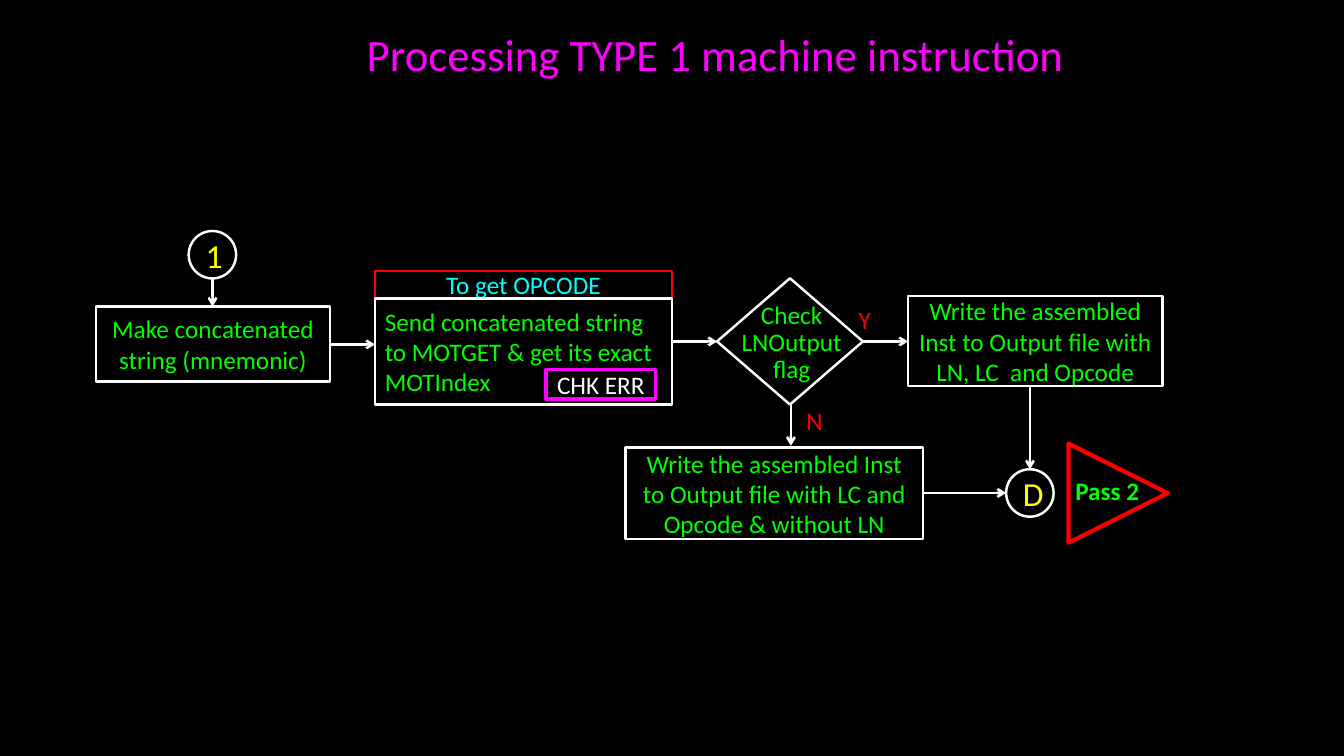
"""Build the flowchart slide on processing a TYPE 1 machine instruction."""
from dataclasses import dataclass

from lxml import etree
from pptx import Presentation
from pptx import util as u
from pptx.dml import color
from pptx.enum import shapes, text
from pptx.oxml import ns
from pptx.slide import Slide

HUES = {
    "black": "000000", "white": "FFFFFF", "green": "00FF00", "red": "FF0000",
    "cyan": "00FFFF", "yellow": "FFFF00", "pink": "FF00FF",
}
KIND = shapes.MSO_SHAPE
ALIGN = text.PP_ALIGN
FONT = "Calibri"
STROKE = 1.75
RING = 33.9


@dataclass(frozen=True)
class Node:
    left: float
    top: float
    width: float
    height: float
    words: str = ""
    hue: str = "green"
    size: int = 18
    align: ALIGN = ALIGN.CENTER
    kind: KIND = KIND.RECTANGLE
    edge: str = "white"
    stroke: float = STROKE
    fill: str = ""
    turn: int = 0


@dataclass(frozen=True)
class Label:
    left: float
    top: float
    width: float
    height: float
    lines: tuple[str, ...]
    hue: str
    size: int = 18
    align: ALIGN = ALIGN.LEFT
    bold: bool = False
    tight: bool = False
    pitch: float = 0


@dataclass(frozen=True)
class Arrow:
    left: float
    top: float
    right: float
    low: float


NODES = [
    Node(134.8, 165, RING, RING, "1", "yellow", 24, kind=KIND.FLOWCHART_CONNECTOR),
    Node(68.6, 218.9, 167, 53.5, "Make concatenated string (mnemonic)"),
    Node(267.8, 193.5, 212.3, 19.8, "To get OPCODE", "cyan", edge="red"),
    Node(267.8, 213.3, 212.3, 75.7,
         "Send concatenated string to MOTGET & get its exact MOTIndex", align=ALIGN.LEFT),
    Node(512.2, 198.8, 104.2, 90.2, kind=KIND.DIAMOND),
    Node(648.6, 211.5, 181.7, 64.1,
         "Write the assembled Inst to Output file with LN, LC  and Opcode"),
    Node(446.9, 319.5, 212.3, 65.5,
         "Write the assembled Inst to Output file with LC and Opcode & without LN"),
    Node(718.7, 335.2, RING, RING, "D", "yellow", 24, kind=KIND.FLOWCHART_CONNECTOR),
    Node(763.2, 316.8, 70.9, 70.9, kind=KIND.FLOWCHART_EXTRACT,
         edge="red", stroke=3, fill="black", turn=90),
    Node(390.2, 263.8, 78, 21.4, "CHK ERR", "white", edge="pink", stroke=2.5),
]
LABELS = [
    Label(505.4, 213.1, 120.2, 57.6, ("Check", "LNOutput", "flag"), "green",
          align=ALIGN.CENTER, pitch=19),
    Label(613.4, 217.7, 40.3, 21.6, ("Y",), "red", tight=True),
    Label(576, 289.4, 40.3, 21.6, ("N",), "red", tight=True),
    Label(761, 336.2, 67, 28.8, ("Pass 2",), "green", bold=True),
    Label(254.9, 15.8, 523.4, 46.1, ("Processing TYPE 1 machine instruction",), "pink", 32),
]
ARROWS = [
    Arrow(151.8, 198.9, 151.8, 218.9),
    Arrow(235.6, 246, 267.8, 246),
    Arrow(480.1, 243.9, 512.2, 243.9),
    Arrow(616.4, 243.9, 648.6, 243.9),
    Arrow(659.2, 352.1, 718.7, 352.1),
    Arrow(565, 289.2, 565, 318.4),
    Arrow(735.7, 275.6, 735.7, 335.2),
]


def tint(name: str) -> color.RGBColor:
    """Return the named colour."""
    return color.RGBColor.from_string(HUES[name])


def write(par, words: str, item: Node | Label, bold: bool = False) -> None:
    """Add one styled run to a paragraph."""
    par.alignment = item.align
    run = par.add_run()
    run.text = words
    run.font.name = FONT
    run.font.size = u.Pt(item.size)
    run.font.bold = bold
    run.font.color.rgb = tint(item.hue)


def draw_node(slide: Slide, node: Node) -> None:
    """Draw an outlined shape with its text."""
    box = [u.Pt(n) for n in (node.left, node.top, node.width, node.height)]
    shape = slide.shapes.add_shape(node.kind, *box)
    shape.shadow.inherit = False
    shape.rotation = node.turn
    shape.line.color.rgb = tint(node.edge)
    shape.line.width = u.Pt(node.stroke)
    if node.fill:
        shape.fill.solid()
        shape.fill.fore_color.rgb = tint(node.fill)
    else:
        shape.fill.background()
    if node.words:
        frame = shape.text_frame
        frame.word_wrap = True
        frame.vertical_anchor = text.MSO_ANCHOR.MIDDLE
        write(frame.paragraphs[0], node.words, node)


def draw_label(slide: Slide, label: Label) -> None:
    """Draw a free text box, one paragraph a line."""
    box = [u.Pt(n) for n in (label.left, label.top, label.width, label.height)]
    frame = slide.shapes.add_textbox(*box).text_frame
    frame.word_wrap = True
    frame.auto_size = text.MSO_AUTO_SIZE.SHAPE_TO_FIT_TEXT
    if label.tight:
        frame.margin_left = frame.margin_right = 0
        frame.margin_top = frame.margin_bottom = 0
    for row, words in enumerate(label.lines):
        par = frame.add_paragraph() if row else frame.paragraphs[0]
        if label.pitch:
            par.line_spacing = u.Pt(label.pitch)
        write(par, words, label, label.bold)


def draw_arrow(slide: Slide, arrow: Arrow) -> None:
    """Draw a straight connector with an open head at its end."""
    ends = [u.Pt(n) for n in (arrow.left, arrow.top, arrow.right, arrow.low)]
    link = slide.shapes.add_connector(shapes.MSO_CONNECTOR.STRAIGHT, *ends)
    link.line.color.rgb = tint("white")
    link.line.width = u.Pt(STROKE)
    props = link.element.spPr
    etree.SubElement(props.find(ns.qn("a:ln")), ns.qn("a:tailEnd"), type="arrow")
    etree.SubElement(props, ns.qn("a:effectLst"))


def main() -> None:
    """Build and save the slide."""
    deck = Presentation()
    deck.slide_width, deck.slide_height = u.Pt(960), u.Pt(540)
    slide = deck.slides.add_slide(deck.slide_layouts[6])
    back = slide.background.fill
    back.solid()
    back.fore_color.rgb = tint("black")
    for node in NODES:
        draw_node(slide, node)
    for label in LABELS:
        draw_label(slide, label)
    for arrow in ARROWS:
        draw_arrow(slide, arrow)
    deck.save("out.pptx")


main()
